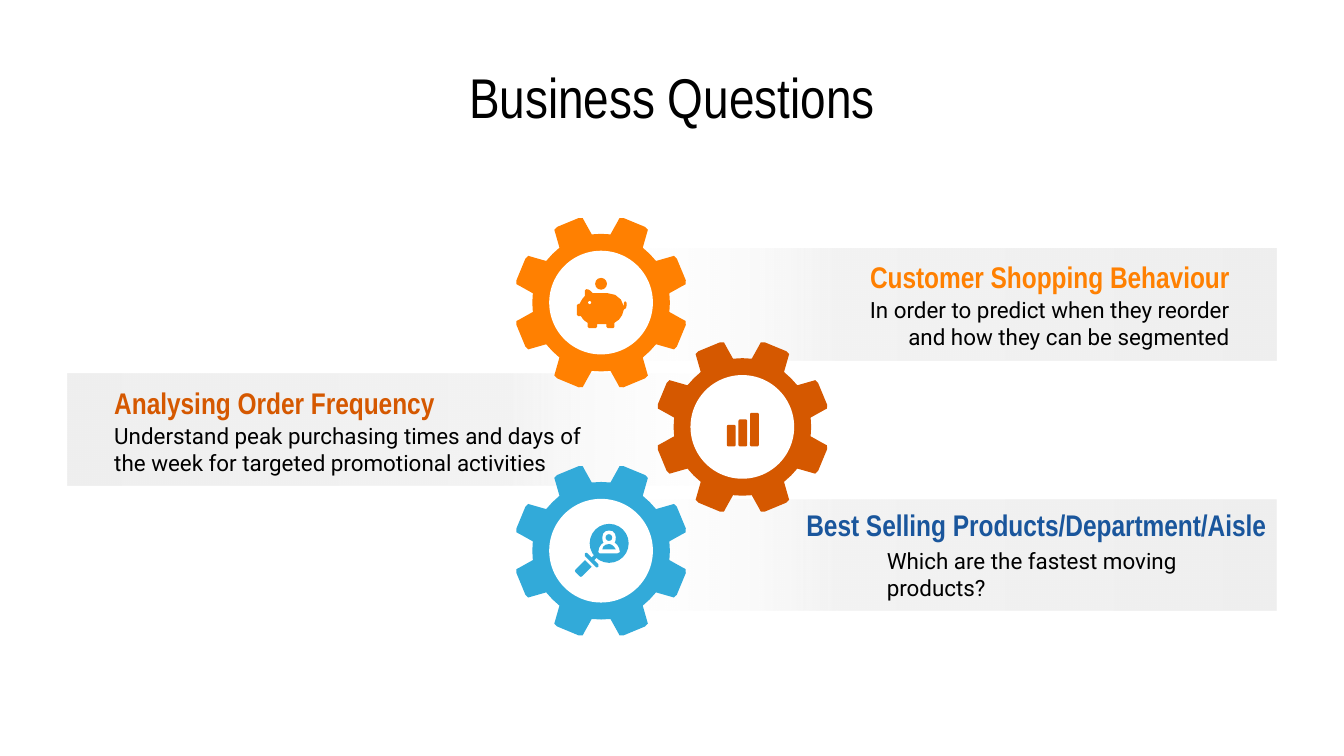
"""Build the Business Questions slide with three interlocking gears."""
import math
from dataclasses import dataclass

import pptx
import pptx.dml.color
import pptx.enum.shapes
import pptx.enum.text
import pptx.oxml
import pptx.oxml.ns
import pptx.util

Cm = pptx.util.Cm
ALIGN = pptx.enum.text.PP_ALIGN
SHAPE = pptx.enum.shapes.MSO_SHAPE
COLORS = {"orange": "FF8001", "rust": "D55800", "sky": "32AAD9", "navy": "1A569C",
          "black": "000000", "band": "EFEFEF", "band_mid": "F3F3F3", "white": "FFFFFF"}
ICON_UNIT = 0.0254
BAND_W, BAND_H = 12.83, 2.11
HEAD, BODY = "Arial Narrow", "Roboto"

Point = tuple[float, float]
Box = tuple[float, float, float, float]


@dataclass
class Question:
    heading: str
    body: str
    gear: str
    ink: str
    center: Point
    band: Point
    heading_box: Box
    body_box: Box
    align: ALIGN = ALIGN.LEFT
    turned: bool = False


QUESTIONS = [
    Question("Customer Shopping Behaviour",
             "In order to predict when they reorder and how they can be segmented",
             "orange", "orange", (11.36, 5.72), (11.3, 4.7),
             (15.24, 4.88, 8.25, 0.7), (15.65, 5.58, 7.84, 1.05), ALIGN.RIGHT),
    Question("Analysing Order Frequency",
             "Understand peak purchasing times and days of the week "
             "for targeted promotional activities",
             "rust", "rust", (14.03, 8.07), (1.27, 7.07),
             (1.91, 7.26, 8.25, 0.7), (1.91, 7.96, 9.47, 1.05), turned=True),
    Question("Best Selling Products/Department/Aisle",
             "Which are the fastest moving products?",
             "sky", "navy", (11.36, 10.41), (11.3, 9.44),
             (14.99, 9.63, 9.45, 0.58), (16.51, 10.24, 6.99, 1.22)),
]

PIG = [(-11, -10), (-12, -9), (-12, -5), (-14, -3, -15, -1, -16, 1), (-17, 1), (-18, 2),
       (-18, 9), (-17, 10), (-15, 10), (-14, 12, -12, 14, -10, 15), (-10, 18), (-9, 19),
       (-4, 19), (-3, 18), (-3, 16), (4, 16), (4, 18), (5, 19), (9, 19), (10, 18), (10, 15),
       (14, 13, 16, 10, 17, 5), (18, 5, 19, 4, 19, 2), (19, 0), (18, -1), (17, 0), (17, 3),
       (16, -3, 11, -7, 5, -7), (-6, -7), (-8, -9, -9, -10, -11, -10)]
NECK = [(-5, 3), (-7, 5), (-10, 2), (-11, 1.5), (-12, 2), (-12, 4), (-4, 12), (-3, 12.5),
        (-2, 12), (-2, 10), (-5, 7), (-3, 5)]
PERSON = [(6, -15), (9, -15, 11, -13, 11, -10), (11, -9, 11, -7, 10, -6),
          (12, -5, 14, -2, 14, 1), (12, 2), (-1, 2), (-2, 1),
          (-2, -2, 0, -5, 2, -6), (1, -7, 1, -9, 1, -10), (1, -13, 3, -15, 6, -15)]
SHOULDERS = [(6, -5), (3, -5, 1, -3, 1, -1), (11, -1), (10, -3, 8, -5, 6, -5)]
HANDLE = [(-12, 7), (-19, 14), (-19.5, 15), (-19, 16), (-16, 19), (-15, 19.5), (-14, 19),
          (-7, 12)]
TOOTH = [(1.26, -0.33), (1.52, -0.3), (1.6, -0.3, 1.64, -0.3, 1.64, -0.22),
         (1.64, 0.22), (1.64, 0.3, 1.6, 0.3, 1.52, 0.3), (1.26, 0.33)]


def paint(s, color: str) -> None:
    """Give a shape a flat fill without line or shadow."""
    s.shadow.inherit = False
    s.fill.solid()
    s.fill.fore_color.rgb = pptx.dml.color.RGBColor.from_string(COLORS[color])
    s.line.fill.background()


def flatten(segments: list[tuple], steps: int = 3) -> list[Point]:
    """Turn line and cubic curve segments into points."""
    points = [segments[0]]
    for seg in segments[1:]:
        if len(seg) == 2:
            points.append(seg)
            continue
        controls = [points[-1], seg[:2], seg[2:4], seg[4:]]
        for i in range(1, steps + 1):
            t = i / steps
            weights = [math.comb(3, k) * t ** k * (1 - t) ** (3 - k) for k in range(4)]
            points.append(tuple(sum(w * c[axis] for w, c in zip(weights, controls))
                                for axis in (0, 1)))
    return points


def add_outline(shapes, points: list[Point], center: Point, color: str,
                unit: float = ICON_UNIT) -> None:
    """Draw points around a center as a filled freeform."""
    scaled = [(Cm(center[0] + x * unit), Cm(center[1] + y * unit)) for x, y in points]
    builder = shapes.build_freeform(*scaled[0], scale=1.0)
    builder.add_line_segments(scaled[1:], close=True)
    paint(builder.convert_to_shape(), color)


def add_preset(shapes, kind: SHAPE, box: Box, center: Point, color: str,
               unit: float = ICON_UNIT) -> None:
    """Draw a preset shape placed relative to a center."""
    x, y, w, h = box
    paint(shapes.add_shape(kind, Cm(center[0] + x * unit), Cm(center[1] + y * unit),
                           Cm(w * unit), Cm(h * unit)), color)


def add_disc(shapes, x: float, y: float, radius: float, center: Point, color: str,
             unit: float = ICON_UNIT) -> None:
    """Draw a disc at an offset from a center."""
    add_preset(shapes, SHAPE.OVAL, (x - radius, y - radius, 2 * radius, 2 * radius),
               center, color, unit)


def add_gear(shapes, center: Point, color: str) -> None:
    """Draw an eight-toothed gear with a white hub."""
    rim = []
    for i in range(8):
        a = math.radians(22.5 + 45 * i)
        gap = (1.3 * math.cos(math.pi / 8), 1.3 * math.sin(math.pi / 8))
        rim += [(x * math.cos(a) - y * math.sin(a), x * math.sin(a) + y * math.cos(a))
                for x, y in [*flatten(TOOTH, 2), gap]]
    add_outline(shapes, rim, center, color, unit=1)
    add_disc(shapes, 0, 0, 0.98, center, "white", unit=1)


def add_band(shapes, q: Question) -> None:
    """Draw the fading band behind a question."""
    s = shapes.add_shape(SHAPE.RECTANGLE, *map(Cm, (*q.band, BAND_W, BAND_H)))
    paint(s, "band")
    s.rotation = 180 if q.turned else 0
    stops = [(0, "band", 100), (64, "band_mid", 100), (100, "white", 0)]
    gs = "".join(f'<a:gs pos="{pos * 1000}"><a:srgbClr val="{COLORS[name]}">'
                 f'<a:alpha val="{alpha * 1000}"/></a:srgbClr></a:gs>'
                 for pos, name, alpha in stops)
    grad = pptx.oxml.parse_xml(
        f'<a:gradFill {pptx.oxml.ns.nsdecls("a")} rotWithShape="1"><a:gsLst>{gs}</a:gsLst>'
        '<a:lin ang="10800000" scaled="0"/></a:gradFill>')
    solid = s.element.spPr.find(pptx.oxml.ns.qn("a:solidFill"))
    solid.getparent().replace(solid, grad)


def add_text(shapes, text: str, box: Box, *, size: float, font: str, color: str = "black",
             bold: bool = False, align: ALIGN = ALIGN.LEFT) -> None:
    """Add a wrapped, vertically centered text box."""
    tf = shapes.add_textbox(*map(Cm, box)).text_frame
    tf.word_wrap = True
    tf.vertical_anchor = pptx.enum.text.MSO_ANCHOR.MIDDLE
    tf.margin_left = tf.margin_right = tf.margin_top = tf.margin_bottom = Cm(0.25)
    p = tf.paragraphs[0]
    p.alignment = align
    r = p.add_run()
    r.text = text
    r.font.size, r.font.name, r.font.bold = pptx.util.Pt(size), font, bold
    r.font.color.rgb = pptx.dml.color.RGBColor.from_string(COLORS[color])


def add_piggy_bank(shapes, center: Point, color: str) -> None:
    """Draw a piggy bank with a coin."""
    add_disc(shapes, 0, -14, 4.4, center, color)
    add_outline(shapes, flatten(PIG), center, color)
    add_disc(shapes, -8.5, 0, 1.1, center, "white")


def add_bars(shapes, center: Point, color: str) -> None:
    """Draw three rising bars."""
    for i, height in enumerate((16, 20, 25)):
        add_preset(shapes, SHAPE.ROUNDED_RECTANGLE,
                   (-11.5 + 8.6 * i, 14.5 - height, 6.5, height), center, color)


def add_search(shapes, center: Point, color: str) -> None:
    """Draw a magnifier over a person."""
    add_disc(shapes, 6, -5.5, 14.5, center, color)
    for segments, fill in ((NECK, color), (HANDLE, color), (PERSON, "white"),
                           (SHOULDERS, color)):
        add_outline(shapes, flatten(segments), center, fill)
    add_disc(shapes, 5.8, -9.8, 2.5, center, color)


def main() -> None:
    """Build and save the slide."""
    prs = pptx.Presentation()
    prs.slide_width, prs.slide_height = Cm(25.4), Cm(14.29)
    shapes = prs.slides.add_slide(prs.slide_layouts[6]).shapes
    add_text(shapes, "Business Questions", (1.27, 1.14, 22.86, 1.35),
             size=30, font=HEAD, align=ALIGN.CENTER)
    for q in QUESTIONS:
        add_band(shapes, q)
    for q, add_icon in zip(QUESTIONS, (add_piggy_bank, add_bars, add_search)):
        add_gear(shapes, q.center, q.gear)
        add_icon(shapes.add_group_shape().shapes, q.center, q.gear)
        add_text(shapes, q.heading, q.heading_box, size=16, font=HEAD, color=q.ink,
                 bold=True, align=q.align)
        add_text(shapes, q.body, q.body_box, size=12, font=BODY, align=q.align)
    prs.save("out.pptx")


if __name__ == "__main__":
    main()
